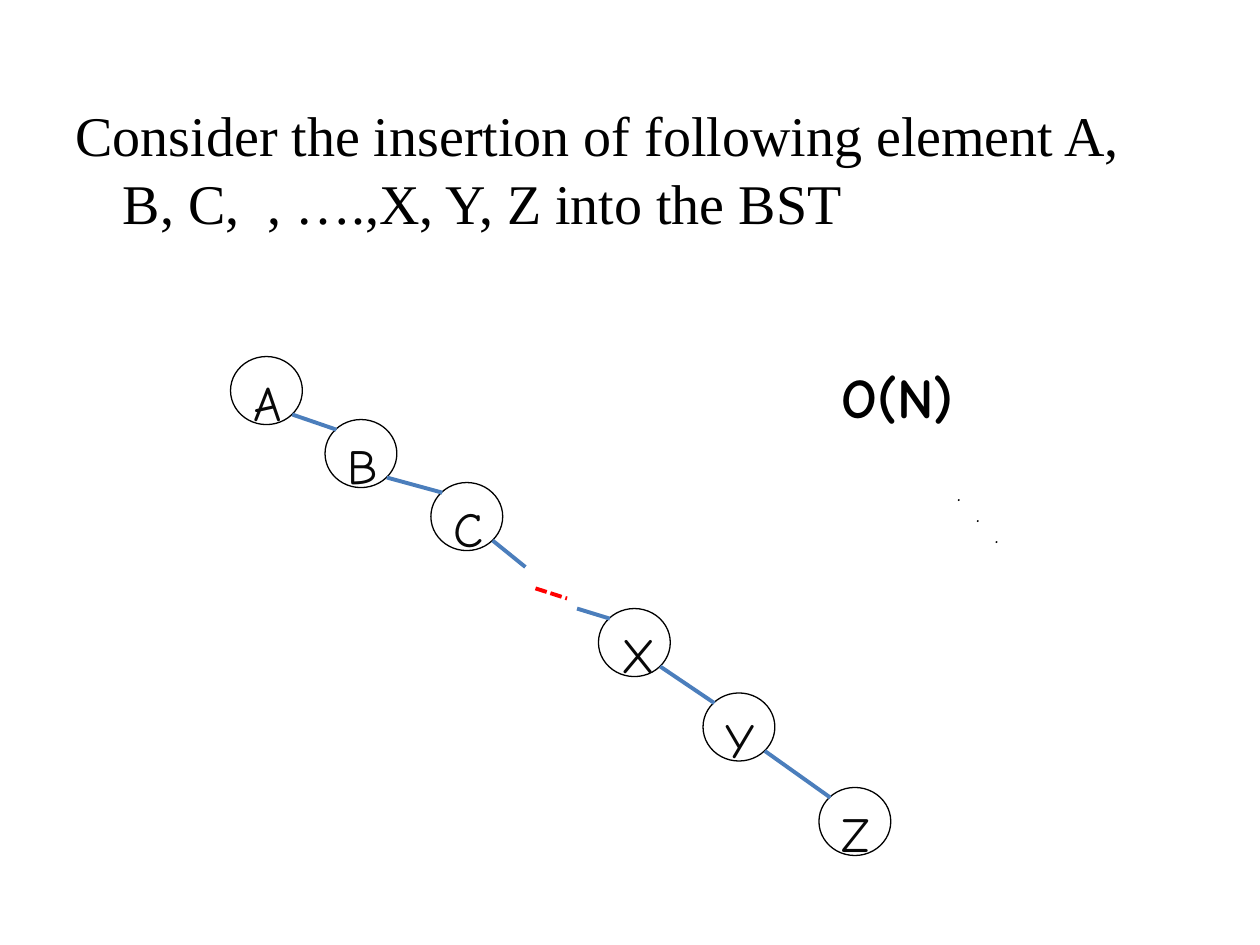
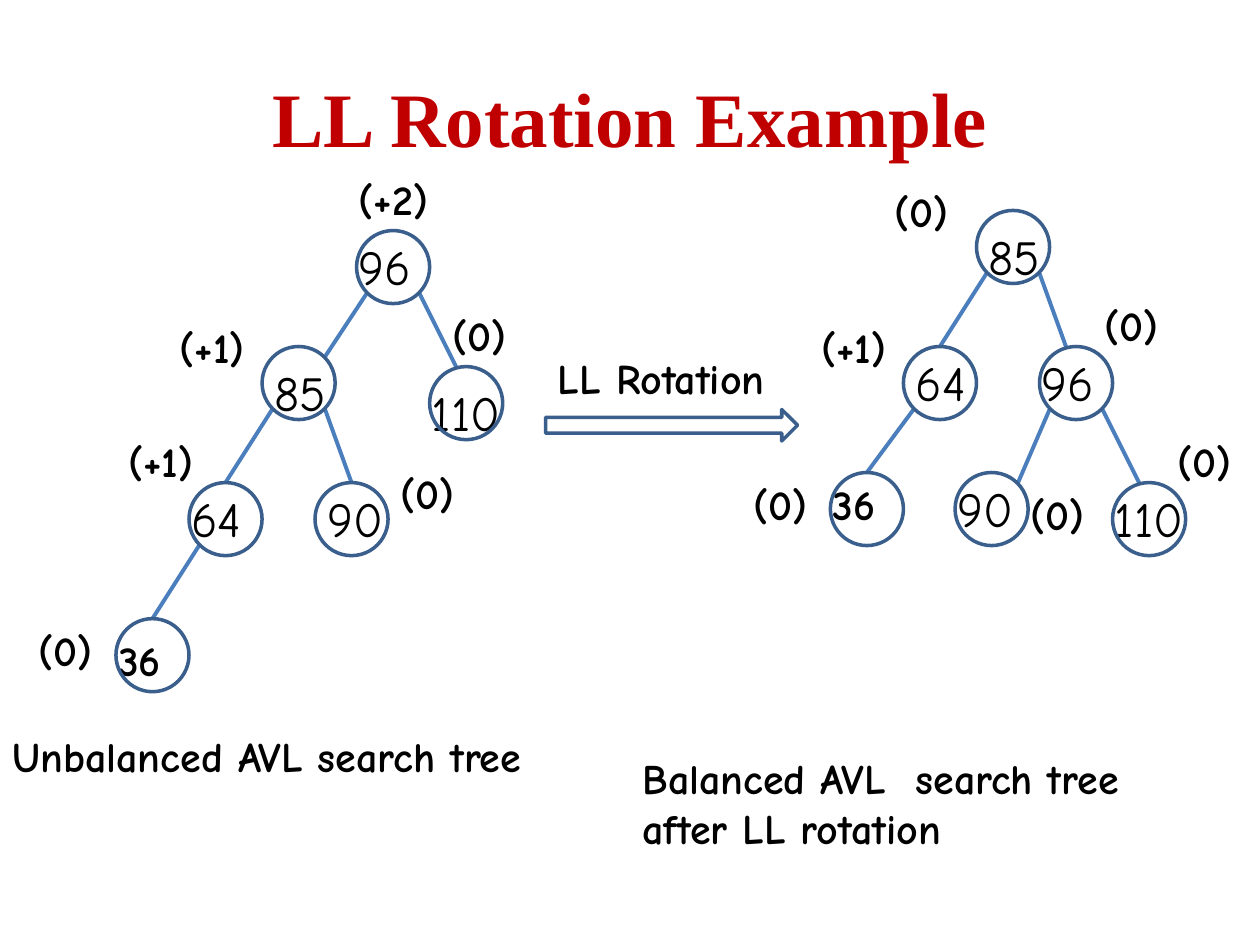
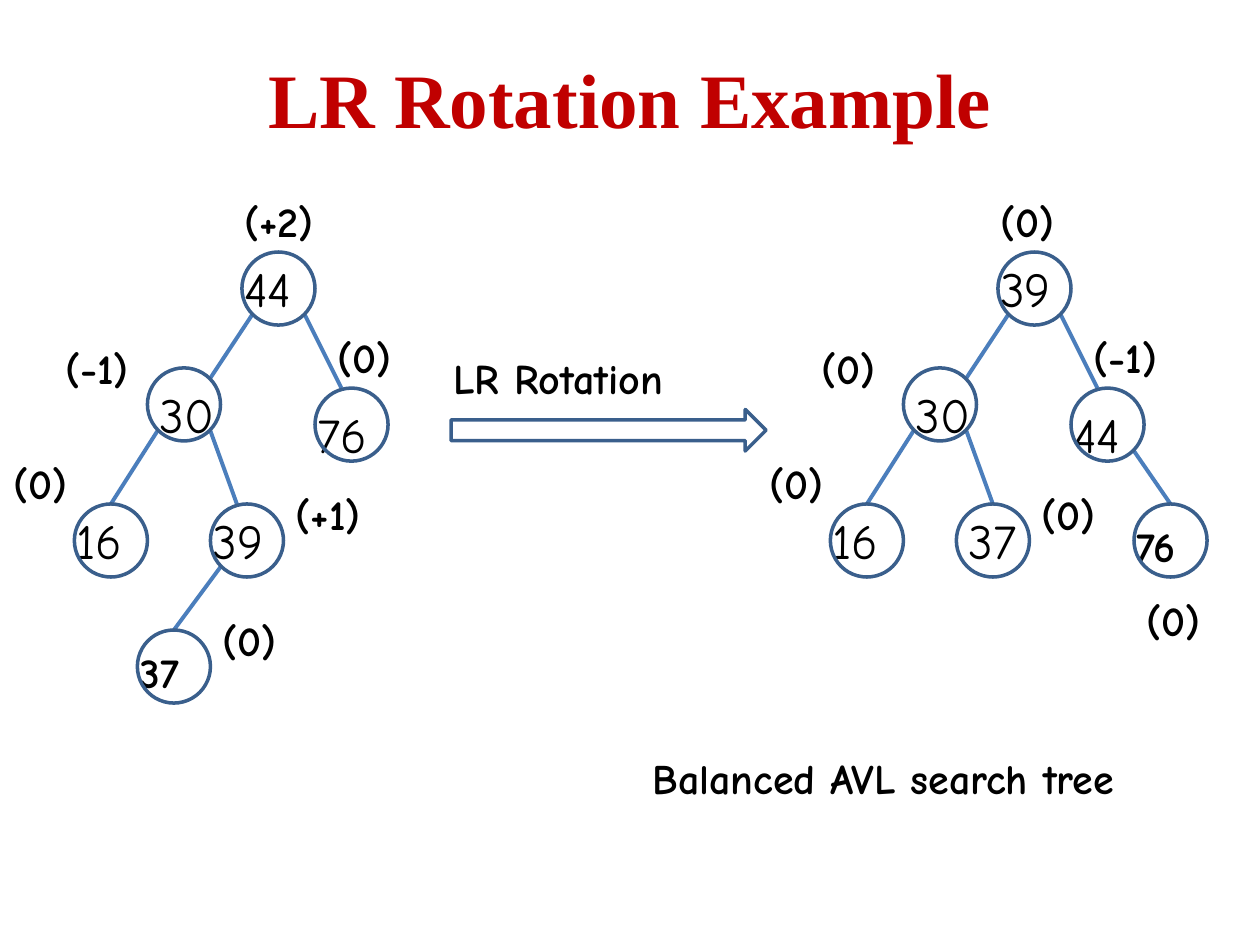
"""Build three slides on binary search tree growth and AVL rotations."""
from lxml import etree
from pptx import Presentation
from pptx.dml.color import RGBColor
from pptx.enum import dml, shapes, text
from pptx.oxml import ns
from pptx.util import Inches, Pt

BLACK = RGBColor(0x00, 0x00, 0x00)
LETTER = RGBColor(0x08, 0x08, 0x08)
RED = RGBColor(0xFF, 0x00, 0x00)
TITLE_RED = RGBColor(0xC0, 0x00, 0x00)
EDGE_BLUE = RGBColor(0x4B, 0x7E, 0xBC)
OUTLINE_BLUE = RGBColor(0x3A, 0x5F, 0x8C)
HAND = "Comic Neue"
SERIF = "Times New Roman"
NODE = 0.58
NUDGE = 0.08


def add_label(page, words, left, top, width, size=24, bold=True):
    box = page.shapes.add_textbox(
        Inches(left), Inches(top), Inches(width), Inches(size / 56 + 0.07))
    frame = box.text_frame
    frame.word_wrap = True
    frame.auto_size = text.MSO_AUTO_SIZE.SHAPE_TO_FIT_TEXT
    frame.text = words
    for para in frame.paragraphs:
        font = para.runs[0].font
        font.name, font.size, font.bold = HAND, Pt(size), bold
        font.color.rgb = BLACK
    return box


def add_edge(page, start, end, color=EDGE_BLUE):
    edge = page.shapes.add_connector(
        shapes.MSO_CONNECTOR.STRAIGHT, *map(Inches, start + end))
    edge.line.color.rgb = color
    edge.line.width = Pt(2.25)
    etree.SubElement(edge._element.spPr, ns.qn("a:effectLst"))
    return edge


deck = Presentation()
deck.slide_width, deck.slide_height = Inches(10), Inches(7.5)

page = deck.slides.add_slide(deck.slide_layouts[1])
title = page.shapes.title
title._element.getparent().remove(title._element)
body = page.placeholders[1]
body.left, body.top, body.width, body.height = map(Inches, (0.5, 0.75, 9, 6.25))
body.text_frame.text = ("Consider the insertion of following element A, B, C,  , "
                        "….,X, Y, Z into the BST")
para = body.text_frame.paragraphs[0]
etree.SubElement(para._p.get_or_add_pPr(), ns.qn("a:buNone"))
font = para.runs[0].font
font.name, font.size, font.color.rgb = SERIF, Pt(32), BLACK

dots = add_label(page, ".\n.\n.", 7.5, 3.79, 1.83, size=10)
for step, para in enumerate(dots.text_frame.paragraphs):
    para._p.get_or_add_pPr().set("marL", str(Inches(0.15 * step)))

chain = [("A", 1.83, 2.83), ("B", 2.58, 3.33), ("C", 3.42, 3.83),
         ("X", 4.75, 4.83), ("Y", 5.58, 5.5), ("Z", 6.5, 6.25)]
for letter, left, top in chain:
    circle = page.shapes.add_shape(
        shapes.MSO_SHAPE.OVAL, Inches(left), Inches(top), Inches(0.57), Inches(0.54))
    circle.shadow.inherit = False
    circle.fill.background()
    circle.line.color.rgb = BLACK
    circle.line.width = Pt(0.75)
    frame = circle.text_frame
    frame.vertical_anchor = text.MSO_ANCHOR.TOP
    frame.text = letter
    para = frame.paragraphs[0]
    para.alignment = text.PP_ALIGN.CENTER
    font = para.runs[0].font
    font.name, font.size, font.color.rgb = HAND, Pt(28), LETTER

for (letter, left, top), (following, next_left, next_top) in zip(chain, chain[1:]):
    start = (left + 0.49, top + 0.46)
    end = (next_left + 0.09, next_top + 0.08)
    if letter == "C":
        add_edge(page, start, (4.17, 4.5))
        add_edge(page, (4.58, 4.83), end)
    else:
        add_edge(page, start, end)
gap = add_edge(page, (4.25, 4.67), (4.5, 4.75), RED)
gap.line.dash_style = dml.MSO_LINE.SQUARE_DOT
add_label(page, "O(N)", 6.58, 2.83, 2.5, size=32)

ENDS = {"crown": (0.29, 0), "shoulder": (0.21, 0), "corner": (0.5, 0.08)}
STEPS = {
    "wide left": (-0.75, 0.92, "corner"),
    "left": (-0.58, 1.08, "crown"),
    "short left": (-0.58, 1, "crown"),
    "inner left": (-0.67, 1, "corner"),
    "near right": (0.42, 1.08, "crown"),
    "right": (0.5, 1.08, "shoulder"),
    "far right": (0.58, 1.08, "shoulder"),
    "short right": (0.5, 0.92, "crown"),
}
SPOTS = {
    "above": (-0.08, -0.5), "above right": (0.08, -0.5), "below": (0, 0.67),
    "left": (-0.75, -0.25), "upper left": (-0.58, -0.42), "beside": (-0.71, 0),
    "right": (0.58, -0.17), "upper right": (0.42, -0.42), "lower right": (0.5, 0.08),
}

rotations = [
    {"name": "LL Rotation", "title_height": 1.25,
     "arrow": (4.33, 3.25, 2, 0.25), "caption_left": 4.33,
     "notes": [("Unbalanced AVL search tree", 0, 5.75),
               ("Balanced AVL  search tree after LL rotation", 5, 5.92)],
     "trees": [
         ((2.83, 1.83), [
             ("96", "", "", "", "(+2)", "above"),
             ("85", "96", "wide left", "right down", "(+1)", "left"),
             ("110", "96", "far right", "down", "(0)", "above right"),
             ("64", "85", "left", "", "(+1)", "upper left"),
             ("90", "85", "near right", "right", "(0)", "right"),
             ("36", "64", "left", "bold down", "(0)", "beside")]),
         ((7.75, 1.67), [
             ("85", "", "", "right down", "(0)", "left"),
             ("64", "85", "left", "right", "(+1)", "left"),
             ("96", "85", "right", "", "(0)", "upper right"),
             ("36", "64", "short left", "bold", "(0)", "beside"),
             ("90", "96", "inner left", "", "(0)", "lower right"),
             ("110", "96", "far right", "", "(0)", "upper right")])]},
    {"name": "LR Rotation", "title_height": 0.95,
     "arrow": (3.58, 3.25, 2.5, 0.33), "caption_left": 3.5,
     "notes": [("Balanced AVL search tree", 5.08, 5.92)],
     "trees": [
         ((1.92, 2), [
             ("44", "", "", "", "(+2)", "above"),
             ("30", "44", "wide left", "right down", "(-1)", "left"),
             ("76", "44", "far right", "down", "(0)", "above right"),
             ("16", "30", "left", "", "(0)", "upper left"),
             ("39", "30", "right", "", "(+1)", "right"),
             ("37", "39", "short left", "bold down", "(0)", "right")]),
         ((7.92, 2), [
             ("39", "", "", "", "(0)", "above"),
             ("30", "39", "wide left", "right down", "(0)", "left"),
             ("44", "39", "far right", "down", "(-1)", "above right"),
             ("16", "30", "left", "", "(0)", "upper left"),
             ("37", "30", "near right", "right", "(0)", "right"),
             ("76", "44", "short right", "bold down", "(0)", "below")])]},
]

for rotation in rotations:
    page = deck.slides.add_slide(deck.slide_layouts[5])
    title = page.shapes.title
    title.left, title.top, title.width = map(Inches, (0.5, 0.3, 9))
    title.height = Inches(rotation["title_height"])
    title.text_frame.text = rotation["name"] + " Example"
    font = title.text_frame.paragraphs[0].runs[0].font
    font.name, font.size, font.bold = SERIF, Pt(44), True
    font.color.rgb = TITLE_RED

    outlines = [(shapes.MSO_SHAPE.RIGHT_ARROW, rotation["arrow"])]
    for root, nodes in rotation["trees"]:
        places = {}
        for value, parent, step, style, balance, spot in nodes:
            left, top = root
            if parent:
                across, down, end = STEPS[step]
                parent_left, parent_top = places[parent]
                left, top = parent_left + across, parent_top + down
                side = 0.08 if across < 0 else 0.5
                add_edge(page, (parent_left + side, parent_top + 0.5),
                         (left + ENDS[end][0], top + ENDS[end][1]))
            places[value] = left, top
            outlines.append((shapes.MSO_SHAPE.OVAL, (left, top, NODE, NODE)))
            bold = "bold" in style
            add_label(page, value,
                      left if "right" in style else left - NUDGE,
                      top + NUDGE if "down" in style else top,
                      0.8, 24 if bold else 28, bold)
            add_label(page, balance, left + SPOTS[spot][0], top + SPOTS[spot][1], 0.8)

    for kind, place in outlines:
        outline = page.shapes.add_shape(kind, *map(Inches, place))
        outline.shadow.inherit = False
        outline.fill.background()
        outline.line.color.rgb = OUTLINE_BLUE
        outline.line.width = Pt(2)

    add_label(page, rotation["name"], rotation["caption_left"], 2.75, 2.08)
    for words, left, top in rotation["notes"]:
        add_label(page, words, left, top, 4.58)

deck.save("out.pptx")
